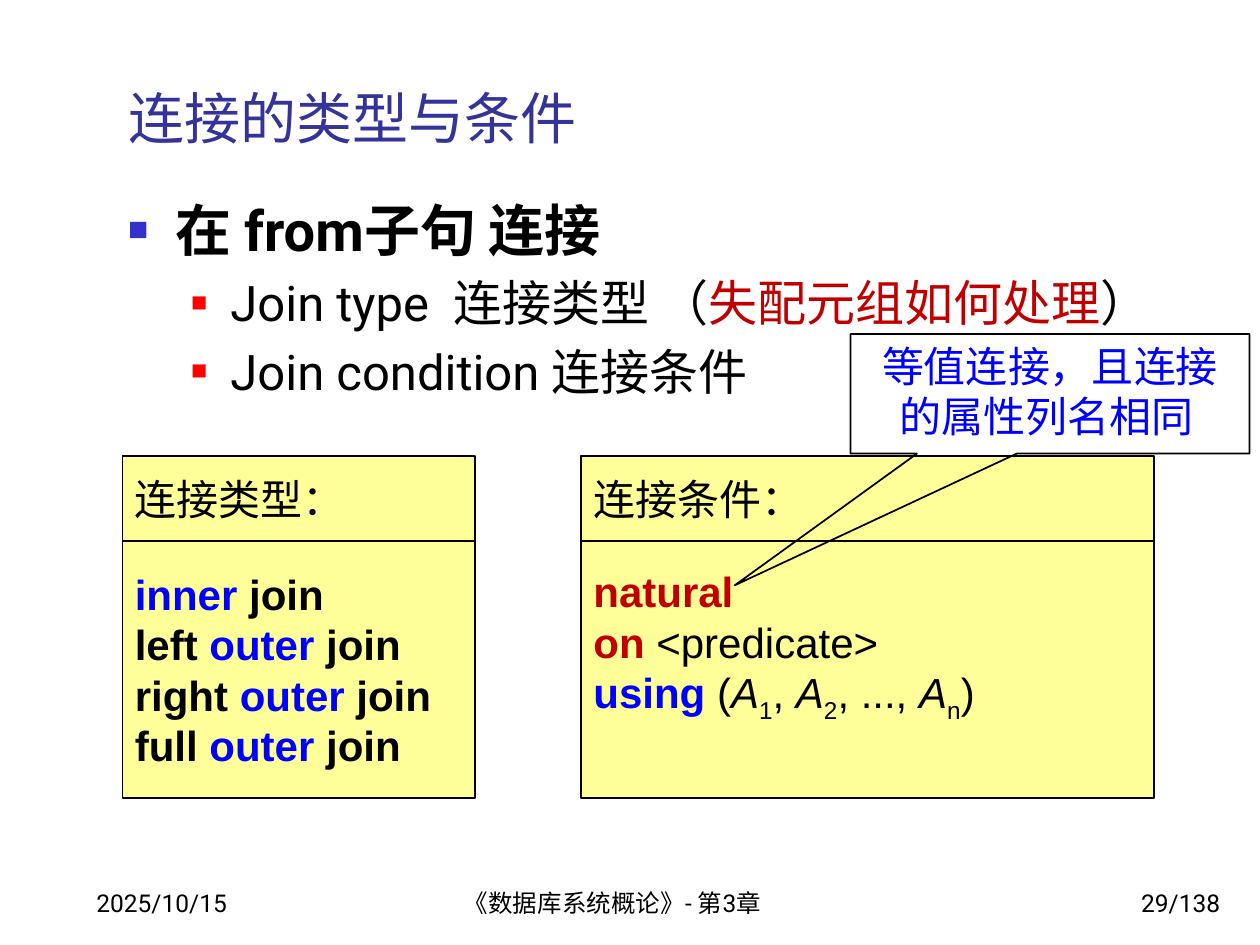
"""Build the slide on join types and join conditions."""
from dataclasses import dataclass
from lxml.etree import SubElement
from pptx import Presentation
from pptx.dml.color import RGBColor
from pptx.enum.shapes import MSO_SHAPE
from pptx.enum.text import MSO_ANCHOR, MSO_AUTO_SIZE, PP_ALIGN
from pptx.oxml.ns import qn
from pptx.util import Pt


@dataclass(frozen=True)
class Theme:
    head: str = "Roboto"
    text: str = "Arial"
    navy: str = "333399"
    black: str = "000000"
    blue: str = "0000FF"
    red: str = "C00000"
    fill: str = "FFFF99"
    marks: tuple = (("3333CC", 60), ("FF0000", 55))
    big: int = 32
    sub: int = 28
    box: int = 24
    tail: int = 16
    foot: int = 14


T = Theme()
BOLD = {"bold": True}
BLUE = {"bold": True, "color": T.blue}
RED = {"bold": True, "color": T.red}
VAR = {"italic": True}
LOW = {"base": -25}

TITLE = [[("连接的类型与条件", {"color": T.navy})]]
POINTS = [
    (0, T.big, [("在 from子句 连接", BOLD)]),
    (1, T.sub, [("Join type  连接类型 （", {}), ("失配元组如何处理", {"color": T.red}), ("）", {})]),
    (1, T.sub, [("Join condition 连接条件", {})]),
]
TYPES = [
    [("inner ", BLUE), ("join", BOLD)],
    *([(side + " ", BOLD), ("outer", BLUE), (" join", BOLD)] for side in ("left", "right", "full")),
]
RULES = [
    [("natural", RED)],
    [("on ", RED), ("<predicate>", {})],
    [("using ", BLUE), ("(", {}), ("A", VAR), ("1", LOW), (", ", {}), ("A", VAR),
     ("2", LOW), (", ..., ", {}), ("A", VAR), ("n", LOW), (")", {})],
]
PANELS = [
    (70, 201.6, "连接类型：", TYPES, 0),
    (332, 327.6, "连接条件：", RULES, 28),
]
NOTE = [[("等值连接，且连接的属性列名相同", {"color": T.blue}), (" ", {"size": T.tail})]]
FEET = [
    (48, 150, "2025/10/15", PP_ALIGN.LEFT),
    (258, 228, "《数据库系统概论》- 第3章", PP_ALIGN.LEFT),
    (554.4, 150, "29/138", PP_ALIGN.RIGHT),
]
HEAD_TOP, HEAD_H, BODY_H = 260.5, 48.5, 147


def place(shape, left, top, width, height):
    shape.left, shape.top, shape.width, shape.height = map(Pt, (left, top, width, height))


def add_runs(para, runs, face, size):
    for text, look in runs:
        run = para.add_run()
        run.text = text
        font = run.font
        font.name = face
        font.size = Pt(look.get("size", size))
        font.bold = look.get("bold", False)
        font.italic = look.get("italic", False)
        font.color.rgb = RGBColor.from_string(look.get("color", T.black))
        if "base" in look:
            run._r.get_or_add_rPr().set("baseline", str(look["base"] * 1000))


def add_mark(para, level):
    color, scale = T.marks[level]
    left, hang = ((27, 27), (58.5, 22.5))[level]
    props = para._p.get_or_add_pPr()
    props.set("marL", str(Pt(left)))
    props.set("indent", str(-Pt(hang)))
    SubElement(SubElement(props, qn("a:buClr")), qn("a:srgbClr")).set("val", color)
    SubElement(props, qn("a:buSzPct")).set("val", str(scale * 1000))
    SubElement(props, qn("a:buFont")).set("typeface", T.text)
    SubElement(props, qn("a:buChar")).set("char", "■")


def next_para(frame, index):
    return frame.add_paragraph() if index else frame.paragraphs[0]


def write(shape, lines, face, size, anchor, align=PP_ALIGN.LEFT):
    frame = shape.text_frame
    frame.word_wrap = True
    frame.auto_size = MSO_AUTO_SIZE.NONE
    frame.vertical_anchor = anchor
    for index, runs in enumerate(lines):
        para = next_para(frame, index)
        para.alignment = align
        add_runs(para, runs, face, size)


def add_box(slide, kind, bounds, fill=None):
    shape = slide.shapes.add_shape(kind, *map(Pt, bounds))
    shape.shadow.inherit = False
    if fill:
        shape.fill.solid()
        shape.fill.fore_color.rgb = RGBColor.from_string(fill)
    else:
        shape.fill.background()
    shape.line.color.rgb = RGBColor.from_string(T.black)
    shape.line.width = Pt(1)
    return shape


def add_points(shape):
    frame = shape.text_frame
    frame.auto_size = MSO_AUTO_SIZE.NONE
    for index, (level, size, runs) in enumerate(POINTS):
        para = next_para(frame, index)
        para.level = level
        para.space_before = Pt(size * 0.2 if index else 0)
        add_mark(para, level)
        add_runs(para, runs, T.head, size)


def main():
    deck = Presentation()
    deck.slide_width, deck.slide_height = Pt(720), Pt(540)
    slide = deck.slides.add_slide(deck.slide_layouts[1])
    title, body = slide.shapes.title, slide.placeholders[1]

    place(title, 66, 30, 638, 60)
    write(title, TITLE, T.head, T.big, MSO_ANCHOR.BOTTOM)
    place(body, 66, 108, 612, 236)
    add_points(body)

    for left, width, name, lines, space in PANELS:
        head = add_box(slide, MSO_SHAPE.RECTANGLE, (left, HEAD_TOP, width, HEAD_H), T.fill)
        write(head, [[(name, {})]], T.text, T.box, MSO_ANCHOR.MIDDLE)
        panel = add_box(slide, MSO_SHAPE.RECTANGLE, (left, HEAD_TOP + HEAD_H, width, BODY_H), T.fill)
        write(panel, lines, T.text, T.box, MSO_ANCHOR.MIDDLE)
        panel.text_frame.margin_bottom = Pt(3.6 + space)

    note = add_box(slide, MSO_SHAPE.RECTANGULAR_CALLOUT, (486, 190.8, 228, 68.4))
    note.adjustments[0], note.adjustments[1] = -0.79, 1.6
    write(note, NOTE, T.text, T.box, MSO_ANCHOR.TOP, PP_ALIGN.CENTER)

    for left, width, text, align in FEET:
        foot = slide.shapes.add_textbox(*map(Pt, (left, 492, width, 36)))
        write(foot, [[(text, {})]], T.head, T.foot, MSO_ANCHOR.BOTTOM, align)

    deck.save("out.pptx")


if __name__ == "__main__":
    main()
